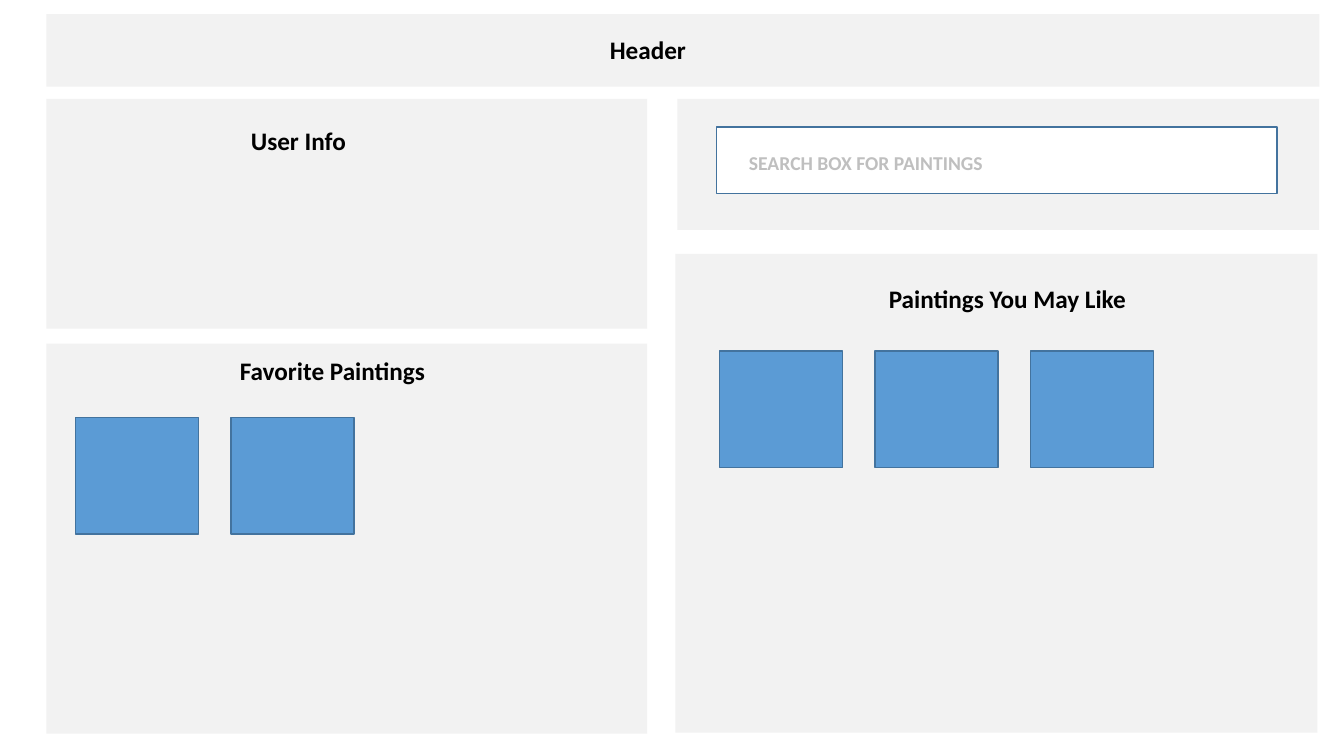
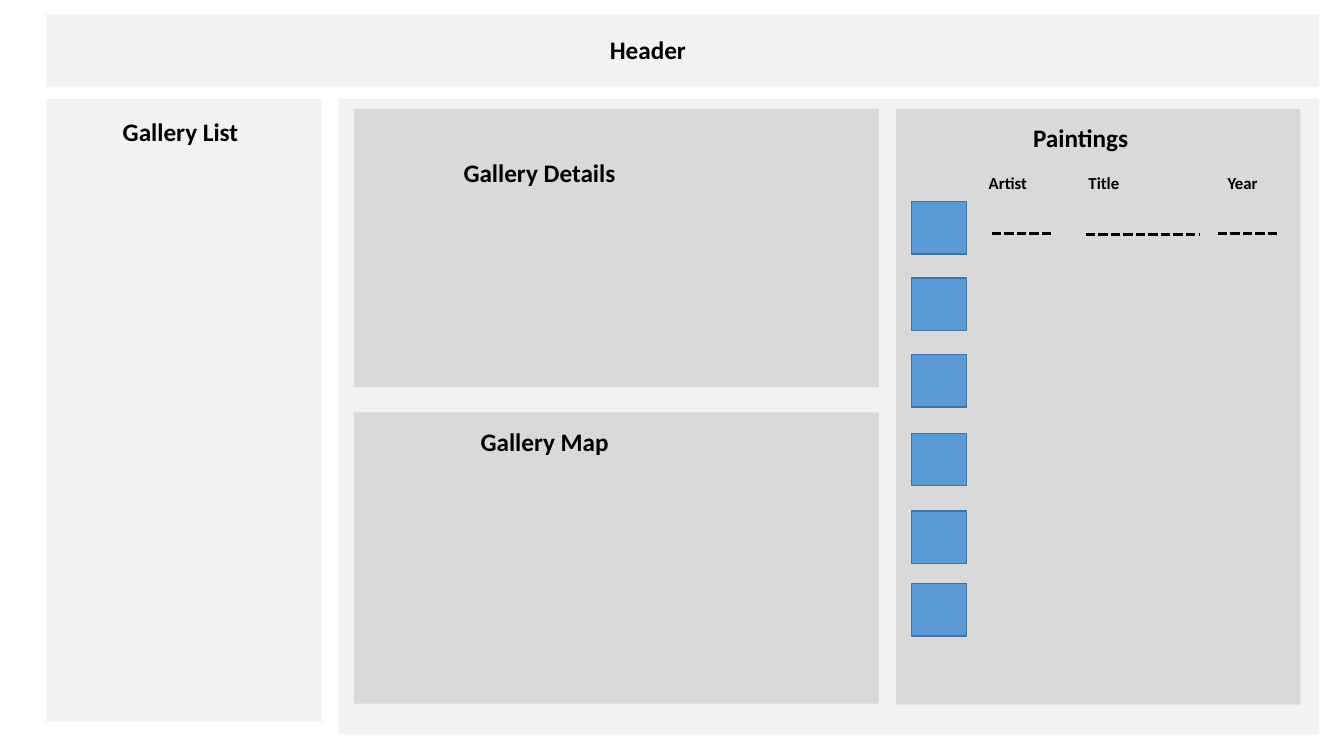
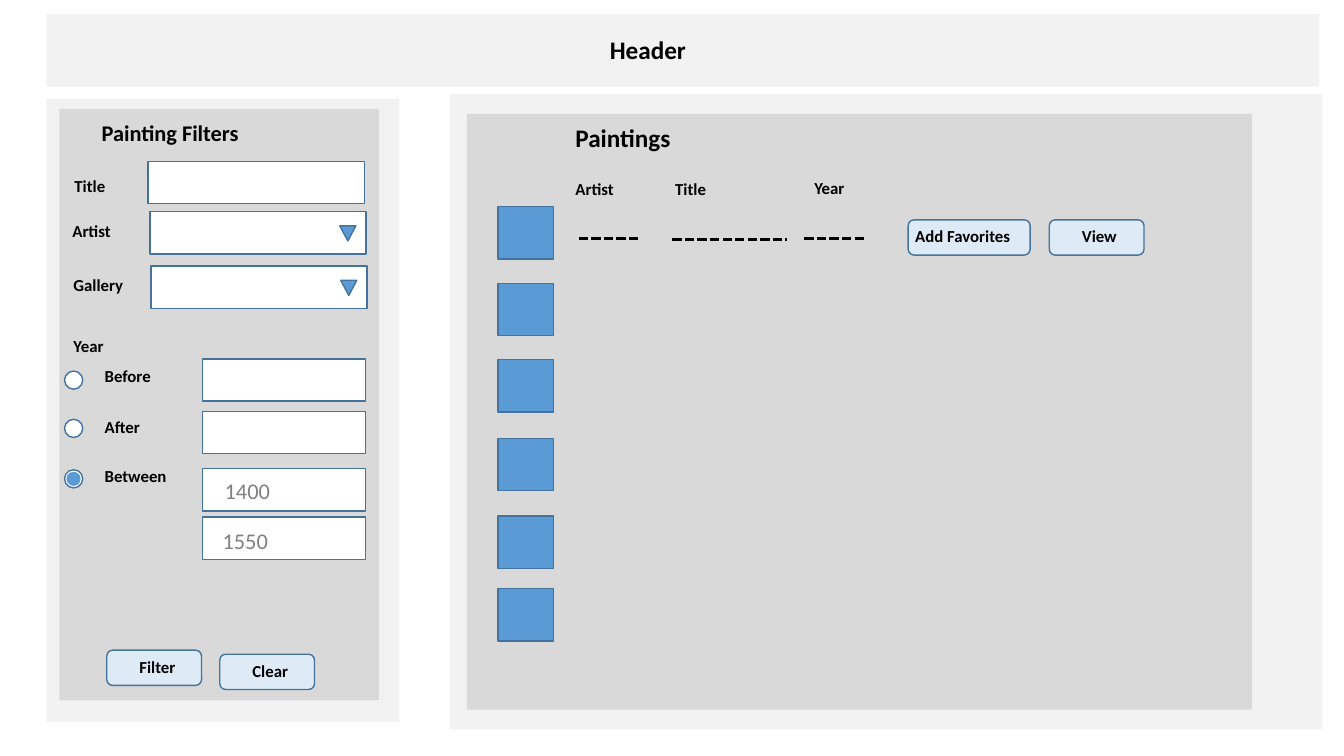
"""Build three wireframe slides for a painting gallery site."""
from lxml import etree
from pptx import Presentation
from pptx.dml.color import RGBColor
from pptx.enum.dml import MSO_LINE
from pptx.enum.shapes import MSO_CONNECTOR, MSO_SHAPE
from pptx.enum.text import MSO_ANCHOR, MSO_AUTO_SIZE, PP_ALIGN
from pptx.oxml.ns import qn
from pptx.util import Pt

RECT = MSO_SHAPE.RECTANGLE
ROUND = MSO_SHAPE.ROUNDED_RECTANGLE
OVAL = MSO_SHAPE.OVAL
ARROW = MSO_SHAPE.ISOSCELES_TRIANGLE
STRAIGHT = MSO_CONNECTOR.STRAIGHT
DASH = MSO_LINE.SQUARE_DOT
TOP = MSO_ANCHOR.TOP
LEFT = PP_ALIGN.LEFT
GROW = MSO_AUTO_SIZE.SHAPE_TO_FIT_TEXT

BLACK = RGBColor(0x00, 0x00, 0x00)
WHITE = RGBColor(0xFF, 0xFF, 0xFF)
PALE = RGBColor(0xF2, 0xF2, 0xF2)
GREY = RGBColor(0xD9, 0xD9, 0xD9)
HINT = RGBColor(0xBF, 0xBF, 0xBF)
VALUE = RGBColor(0x80, 0x80, 0x80)
BLUE = RGBColor(0x5B, 0x9B, 0xD5)
EDGE = RGBColor(0x43, 0x73, 0x9E)
LIGHT = RGBColor(0xDE, 0xEB, 0xF7)

FONT = "Calibri"
TITLE_ONLY = 5
STEP = 111
ROWS = (0, 54.7, 109.4, 165.6, 221, 272.9)
HEADS = (("Artist", 48.2, -23.8, 75.6), ("Title", 119.5, -23.8, 75.6),
         ("Year", 218.9, -24.5, 47.5))
DASHES = ((57.6, 101.5, 22.7), (124.6, 206.2, 23.4), (218.9, 262.1, 22.7))


def shape(slide, kind, box, fill, edge=None):
    """Add a preset shape with a flat fill and an optional outline."""
    item = slide.shapes.add_shape(kind, *map(Pt, box))
    item.shadow.inherit = False
    item.fill.solid()
    item.fill.fore_color.rgb = fill
    if edge is None:
        item.line.fill.background()
    else:
        item.line.color.rgb = edge
        item.line.width = Pt(1)
    return item


def write(item, text, size, color=BLACK, bold=True, wrap=True):
    """Put one formatted line of text into a shape."""
    frame = item.text_frame
    frame.text = text
    looks = {"word_wrap": wrap, "auto_size": GROW, "vertical_anchor": TOP}
    for key, val in looks.items():
        setattr(frame, key, val)
    para = frame.paragraphs[0]
    para.alignment = LEFT
    font = para.runs[0].font
    for key, val in {"name": FONT, "size": Pt(size), "bold": bold}.items():
        setattr(font, key, val)
    font.color.rgb = color


def label(slide, text, left, top, width, size=18, **looks):
    """Add a text box one line high."""
    box = (left, top, width, size * 1.2 + 7.2)
    write(slide.shapes.add_textbox(*map(Pt, box)), text, size, **looks)


def page(deck):
    """Add a slide with the header band and its title."""
    slide = deck.slides.add_slide(deck.slide_layouts[TITLE_ONLY])
    shape(slide, RECT, (33.1, 10.1, 909.4, 51.8), PALE)
    title = slide.shapes.title
    place = {"left": 428.4, "top": 21.2, "width": 76, "height": 28.8}
    for key, val in place.items():
        setattr(title, key, Pt(val))
    write(title, "Header", 18)
    title._element.getparent().append(title._element)
    return slide


def tiles(slide, left, top, count):
    """Add a row of large painting tiles."""
    for num in range(count):
        shape(slide, RECT, (left + num * STEP, top, 87.8, 83.5), BLUE, EDGE)


def dash(slide, left, right, top):
    """Add a dashed line that stands for a value."""
    item = slide.shapes.add_connector(
        STRAIGHT, Pt(left), Pt(top), Pt(right), Pt(top))
    item.line.color.rgb = BLACK
    item.line.width = Pt(2.25)
    item.line.dash_style = DASH
    etree.SubElement(item._element.spPr, qn("a:effectLst"))


def listing(slide, left, top):
    """Add the column of paintings with its heads and first row."""
    for row in ROWS:
        shape(slide, RECT, (left, top + row, 39.6, 37.4), BLUE, EDGE)
    for text, dx, dy, width in HEADS:
        label(slide, text, left + dx, top + dy, width, 12)
    for start, end, dy in DASHES:
        dash(slide, left + start, left + end, top + dy)


def field(slide, left, top, width, menu=False):
    """Add an input field, with an arrow if it is a menu."""
    shape(slide, RECT, (left, top, width, 30.2), WHITE, EDGE)
    if menu:
        box = (left + 135.4, top + 10.1, 11.5, 10.8)
        shape(slide, ARROW, box, BLUE, EDGE).rotation = 180


def button(slide, text, left, top, width=67.7, inset=16.2, room=43.2):
    """Add a rounded button with its caption."""
    shape(slide, ROUND, (left, top, width, 25.2), LIGHT, EDGE)
    label(slide, text, left + inset, top + 1, room, 12)


def user(deck):
    """Build the user page."""
    slide = page(deck)
    for box in ((483.8, 70.6, 458.6, 93.6), (33.1, 70.6, 429.1, 164.2),
                (33.1, 245.5, 429.1, 278.6), (482.4, 181.4, 458.6, 342)):
        shape(slide, RECT, box, PALE)
    shape(slide, RECT, (511.9, 90.7, 400.3, 47.5), WHITE, EDGE)
    label(slide, "SEARCH BOX FOR PAINTINGS", 527.8, 104.4, 189.4, 14,
          color=HINT)
    for text, left, top, width in (
            ("User Info", 172.1, 85.7, 82.8),
            ("Favorite Paintings", 164.2, 250.6, 147.6),
            ("Paintings You May Like", 627.8, 198.7, 185.8)):
        label(slide, text, left, top, width, wrap=False)
    tiles(slide, 54, 298.1, 2)
    tiles(slide, 514.1, 250.6, 3)


def gallery(deck):
    """Build the gallery page."""
    slide = page(deck)
    for box, fill in (((33.1, 70.6, 196.6, 445), PALE),
                      ((241.9, 70.6, 700.6, 453.6), PALE),
                      ((252.7, 77.8, 375.1, 198.7), GREY),
                      ((252.7, 294.5, 375.1, 208.1), GREY),
                      ((640.1, 77.8, 288.7, 425.5), GREY)):
        shape(slide, RECT, box, fill)
    for text, left, top, width in (("Gallery List", 80.6, 79.9, 126),
                                   ("Gallery Details", 324, 108.7, 209.5),
                                   ("Gallery Map", 336.2, 301, 126),
                                   ("Paintings", 730.8, 84.2, 154.8)):
        label(slide, text, left, top, width)
    listing(slide, 650.9, 144)


def filters(slide):
    """Add the form that filters the paintings."""
    label(slide, "Painting Filters", 65.5, 81.4, 126, 16)
    field(slide, 105.8, 115.2, 154.8)
    field(slide, 107.3, 151.2, 154.1, menu=True)
    field(slide, 108, 190.1, 154.1, menu=True)
    for text, left, top in (("Title", 46.1, 121.7), ("Artist", 44.6, 154.1),
                            ("Gallery", 45.4, 193), ("Year", 45.4, 236.2)):
        label(slide, text, left, top, 136.1, 12)
    for text, top, mark in (("Before", 257.8, 265), ("After", 294.5, 299.5),
                            ("Between", 329, 335.5)):
        label(slide, text, 67.7, top, 77.8, 12)
        shape(slide, OVAL, (46.1, mark, 13, 13), WHITE, EDGE)
    shape(slide, OVAL, (47.5, 337, 10.1, 10.1), BLUE)
    for top in (256.3, 293.8, 334.8, 369.4):
        field(slide, 144.7, top, 116.6)
    for text, left, top in (("1400", 153.4, 337), ("1550", 151.9, 373)):
        label(slide, text, left, top, 77.8, 16, color=VALUE, bold=False)
    button(slide, "Filter", 76.3, 464.4)
    button(slide, "Clear", 157, 467.3)


def search(deck):
    """Build the page that filters and lists paintings."""
    slide = page(deck)
    for box, fill in (((33.1, 70.6, 252, 445), PALE),
                      ((42.5, 77.8, 228.2, 422.6), GREY),
                      ((321.1, 67, 623.5, 453.6), PALE),
                      ((333.4, 81.4, 560.9, 425.5), GREY)):
        shape(slide, RECT, box, fill)
    filters(slide)
    label(slide, "Paintings", 403.9, 83.5, 154.8)
    listing(slide, 355.7, 147.6)
    button(slide, "Add Favorites", 648.7, 157, 87.1, -2.1, 100.1)
    button(slide, "View", 749.5, 157)


def main():
    """Build and save the deck."""
    deck = Presentation()
    deck.slide_width = Pt(960)
    deck.slide_height = Pt(540)
    for build in (user, gallery, search):
        build(deck)
    deck.save("out.pptx")


main()
